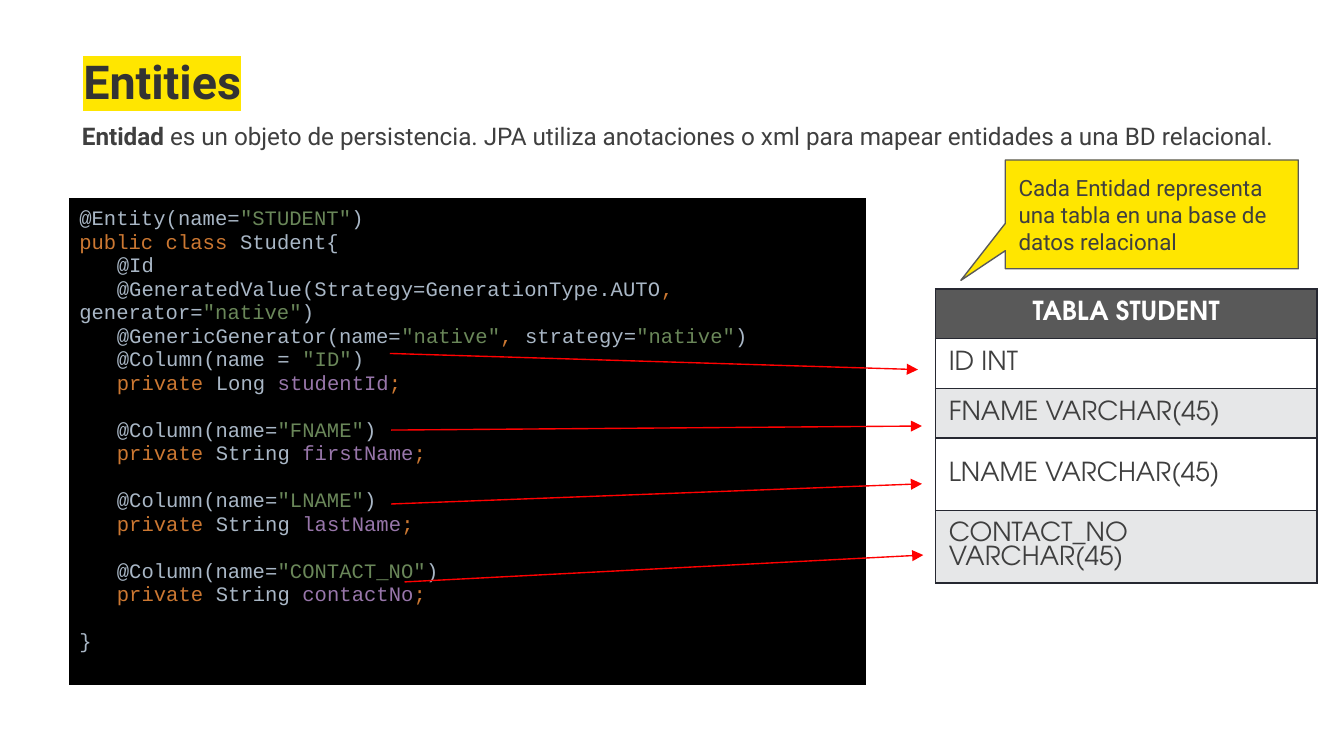
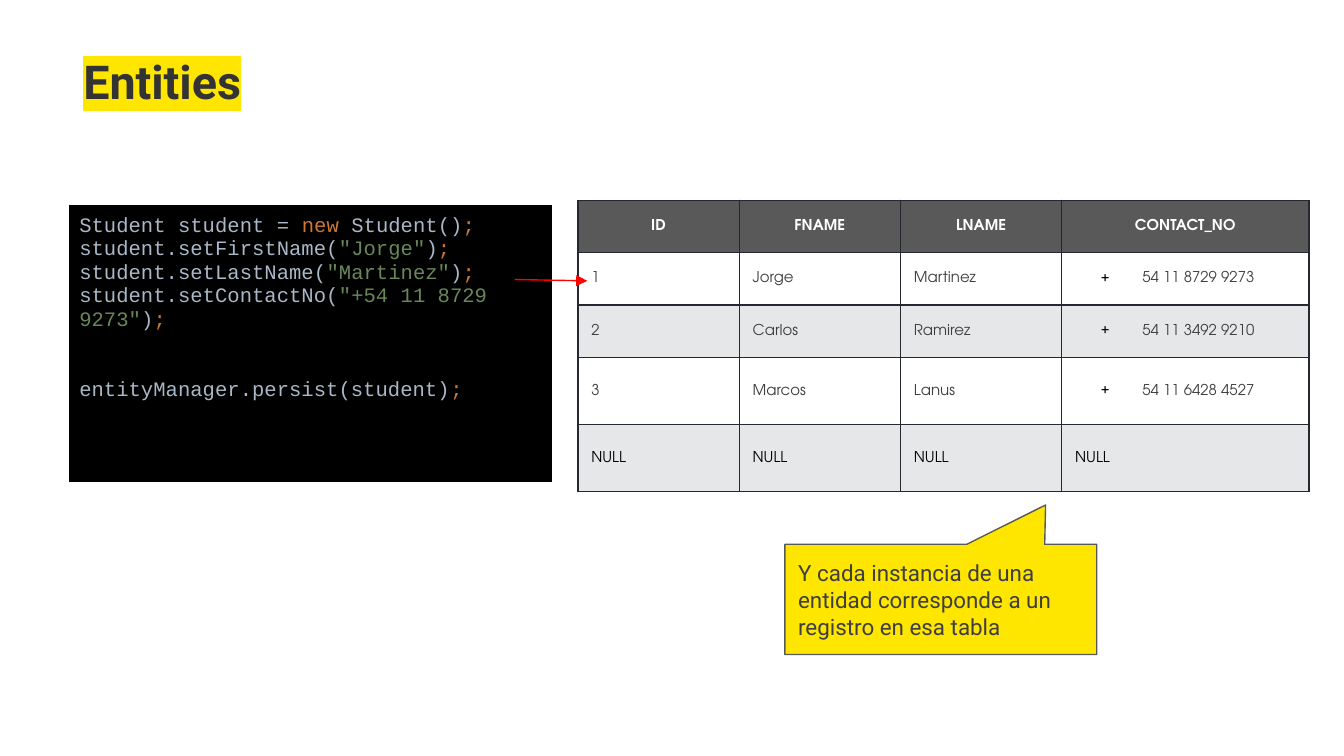
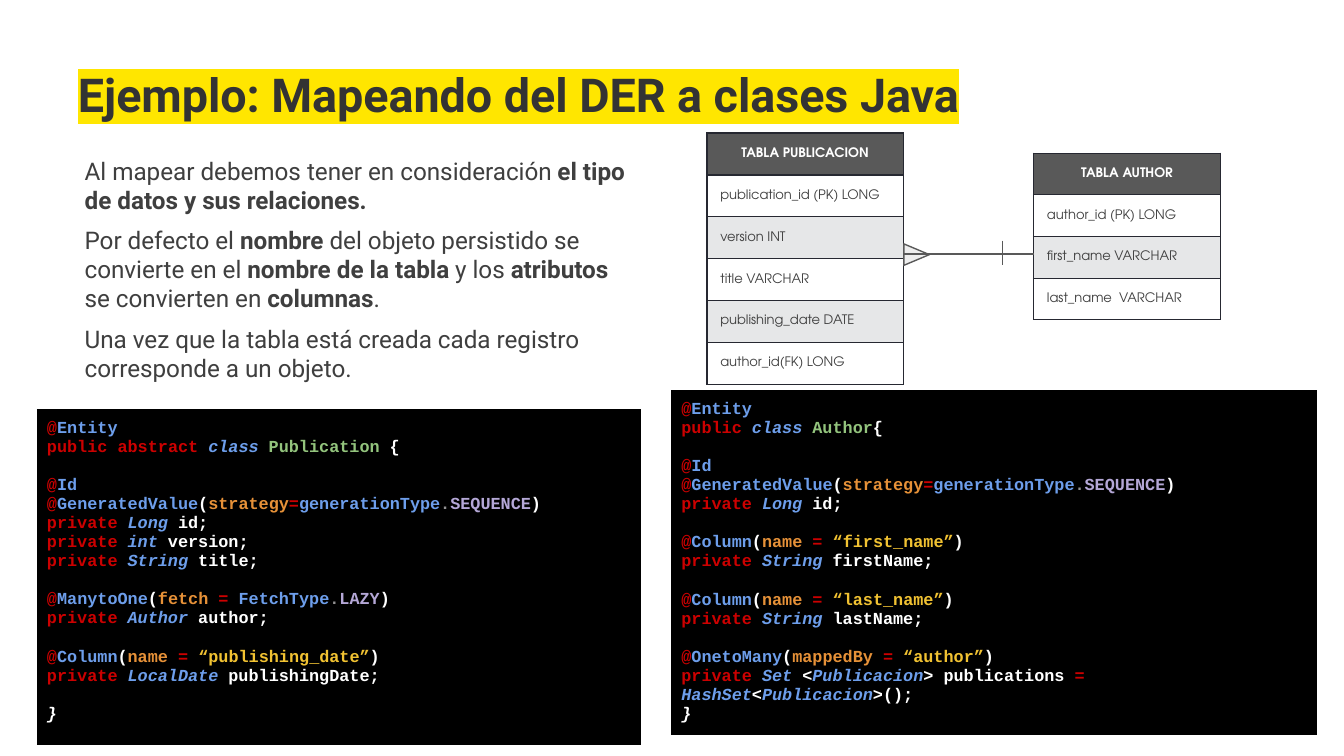
from lxml import etree
from pptx import Presentation
from pptx.dml.color import RGBColor
from pptx.enum.shapes import MSO_CONNECTOR, MSO_SHAPE
from pptx.enum.text import MSO_ANCHOR, MSO_AUTO_SIZE, PP_ALIGN
from pptx.oxml.ns import qn
from pptx.util import Inches, Pt

STRAIGHT = MSO_CONNECTOR.STRAIGHT
CALLOUT = MSO_SHAPE.ROUNDED_RECTANGULAR_CALLOUT
TRIANGLE = MSO_SHAPE.ISOSCELES_TRIANGLE
TOP, MIDDLE = MSO_ANCHOR.TOP, MSO_ANCHOR.MIDDLE
LEFT, CENTER = PP_ALIGN.LEFT, PP_ALIGN.CENTER
TITLE_AND_CONTENT, TITLE_ONLY = 1, 5

COLORS = {
    "title": "333333", "text": "3F3F3F", "yellow": "FFE600", "grey": "595959",
    "band": "E6E7E8", "white": "FFFFFF", "black": "000000", "border": "262831",
    "arrow": "FF0000", "crow_foot": "EEEEEE",
}
TEXT_FONT, CODE_FONT, TABLE_FONT = "Roboto", "Courier New", "TeX Gyre Adventor"

# Syntax styles: the letter after § opens a run in this (colour, italic)
SYNTAX = {
    # dark editor theme
    "p": ("A9B7C6", False), "k": ("CC7832", False),
    "s": ("6A8759", False), "f": ("9876AA", False),
    # bright editor theme
    "r": ("CC0000", False), "b": ("6D9EEB", False), "t": ("6D9EEB", True),
    "g": ("93C47D", False), "w": ("FFFFFF", False), "e": ("FFFFFF", True),
    "o": ("E69138", False), "d": ("939293", False), "v": ("B4A7D6", False),
    "y": ("F1C232", False),
}


def entity_column(name, java_type, field_name):
    """Lines of one annotated field; a tab marks the code indent."""
    return ["", f'\t§p@Column(name=§s"{name}"§p)',
            f"\t§kprivate §p{java_type} §f{field_name}§k;"]


def setter(name, value):
    return f'§pstudent.{name}(§s"{value}"§p)§k;'


def field(java_type, name):
    return f"§rprivate §t{java_type} §w{name};"


def column(name):
    return f"§r@§bColumn§w(§oname §r=§y “{name}”§w)"


GENERATED_ID = [
    "", "§r@§bId",
    "§r@§bGeneratedValue§w(§ostrategy§r=§bgenerationType§d.§vSEQUENCE§w)",
    field("Long", "id"),
]
STUDENT_CLASS = [
    '§p@Entity(name=§s"STUDENT"§p)',
    "§kpublic class §pStudent{",
    "\t§p@Id",
    '\t§p@GeneratedValue(Strategy=GenerationType.AUTO§k, §pgenerator=§s"native"§p)',
    '\t§p@GenericGenerator(name=§s"native"§k, §pstrategy=§s"native"§p)',
    '\t§p@Column(name = §s"ID"§p)',
    "\t§kprivate §pLong §fstudentId§k;",
    *entity_column("FNAME", "String", "firstName"),
    *entity_column("LNAME", "String", "lastName"),
    *entity_column("CONTACT_NO", "String", "contactNo"),
    "", "§p}",
]
STUDENT_USE = [
    "§pStudent student = §knew §pStudent()§k;",
    setter("setFirstName", "Jorge"),
    setter("setLastName", "Martinez"),
    setter("setContactNo", "+54 11 8729 9273"),
    "", "", "§pentityManager.persist(student)§k;",
]
PUBLICATION_CLASS = [
    "§r@§bEntity",
    "§rpublic abstract §tclass §gPublication §w{",
    *GENERATED_ID,
    field("int", "version"),
    field("String", "title"),
    "", "§r@§bManytoOne§w(§ofetch §r= §bFetchType§d.§vLAZY§w)",
    field("Author", "author"),
    "", column("publishing_date"),
    field("LocalDate", "publishingDate"),
    "", "§e}",
]
AUTHOR_CLASS = [
    "§r@§bEntity",
    "§rpublic §tclass §gAuthor§w{",
    *GENERATED_ID,
    "", column("first_name"),
    field("String", "firstName"),
    "", column("last_name"),
    field("String", "lastName"),
    "", "§r@§bOnetoMany§w(§omappedBy §r= §y“author”§w)",
    "§rprivate §tSet §w<§tPublicacion§w> publications §r= "
    "§tHashSet§w<§tPublicacion§w>();",
    "§e}",
]


# Shared helpers
def rgb(name):
    return RGBColor.from_string(COLORS[name])


def add_xml(parent, tag, **attributes):
    return etree.SubElement(parent, qn(tag), attributes)


def set_font(font, name, size, color=None, bold=False):
    font.name, font.size, font.bold = name, Pt(size), bold
    if color:
        font.color.rgb = rgb(color)


def set_insets(target, horizontal, vertical):
    target.margin_left = target.margin_right = Inches(horizontal)
    target.margin_top = target.margin_bottom = Inches(vertical)


def set_indent(paragraph, left, first):
    properties = paragraph._p.get_or_add_pPr()
    properties.set("marL", str(Inches(left)))
    properties.set("indent", str(Inches(first)))
    return properties


def place(shape, box):
    shape.left, shape.top, shape.width, shape.height = map(Inches, box)


def set_borders(frame, color, width):
    for properties in frame.element.iter(qn("a:tcPr")):
        for index, side in enumerate(("a:lnL", "a:lnR", "a:lnT", "a:lnB")):
            border = add_xml(properties, side, w=str(Pt(width)))
            add_xml(add_xml(border, "a:solidFill"), "a:srgbClr", val=COLORS[color])
            properties.insert(index, border)


def add_table(slide, left, top, width, row_heights):
    frame = slide.shapes.add_table(len(row_heights), 1, Inches(left), Inches(top),
                                   Inches(width), Inches(sum(row_heights)))
    table = frame.table
    table.first_row = table.horz_banding = False
    for row, height in zip(table.rows, row_heights):
        row.height = Inches(height)
    return frame


# Parts of a slide
def add_title(slide, text, box):
    title = slide.shapes.title
    place(title, box)
    text_frame = title.text_frame
    text_frame.auto_size = MSO_AUTO_SIZE.NONE
    text_frame.vertical_anchor = TOP
    set_insets(text_frame, 0.1, 0.1)
    paragraph = text_frame.paragraphs[0]
    paragraph.alignment = LEFT
    run = paragraph.add_run()
    run.text = text
    set_font(run.font, TEXT_FONT, 25, "title", True)
    highlight = etree.Element(qn("a:highlight"))
    add_xml(highlight, "a:srgbClr", val=COLORS["yellow"])
    run.font._element.find(qn("a:solidFill")).addnext(highlight)


def add_body(slide, paragraphs, box, inset):
    """Fill the body placeholder; ** switches bold on and off."""
    body = slide.placeholders[1]
    place(body, box)
    text_frame = body.text_frame
    text_frame.auto_size = MSO_AUTO_SIZE.NONE
    text_frame.vertical_anchor = TOP
    set_insets(text_frame, 0.1, inset)
    for index, text in enumerate(paragraphs):
        paragraph = text_frame.paragraphs[0] if index == 0 else text_frame.add_paragraph()
        paragraph.space_before = Pt(6 if index else 0)
        add_xml(set_indent(paragraph, 0, 0), "a:buNone")
        set_font(paragraph.font, TEXT_FONT, 13, "text")
        for part, words in enumerate(text.split("**")):
            if words:
                run = paragraph.add_run()
                run.text = words
                run.font.bold = part % 2 == 1


def add_code(slide, lines, box, size, bold=False):
    left, top, width, height = box
    frame = add_table(slide, left, top, width, [height])
    cell = frame.table.cell(0, 0)
    cell.fill.solid()
    cell.fill.fore_color.rgb = rgb("black")
    set_insets(cell, 0.07, 0.07)
    paragraph, gap = cell.text_frame.paragraphs[0], 0
    for index, line in enumerate(lines):
        if not line:
            gap += size * 1.14
            continue
        if index:
            paragraph = cell.text_frame.add_paragraph()
        if line.startswith("\t"):
            set_indent(paragraph, 0, 0.28)
        paragraph.space_before = Pt(gap)
        gap = 0
        set_font(paragraph.font, CODE_FONT, size, bold=bold)
        for token in line.strip("\t").split("§")[1:]:
            color, italic = SYNTAX[token[0]]
            run = paragraph.add_run()
            run.text = token[1:]
            run.font.color.rgb = RGBColor.from_string(color)
            run.font.italic = italic
    set_borders(frame, "black", 1)


def add_data_table(slide, values, left, top, width, row_heights, size):
    """One column: a dark heading over banded rows."""
    frame = add_table(slide, left, top, width, row_heights)
    for index, value in enumerate(values):
        heading = index == 0
        cell = frame.table.cell(index, 0)
        cell.vertical_anchor = MIDDLE
        set_insets(cell, 0.1, 0.06)
        cell.fill.solid()
        fill = "grey" if heading else "white" if index % 2 else "band"
        cell.fill.fore_color.rgb = rgb(fill)
        paragraph = cell.text_frame.paragraphs[0]
        paragraph.alignment = CENTER if heading else LEFT
        paragraph.space_before = Pt(6)
        paragraph.line_spacing = Pt(round(size * 0.92, 1))
        if value.startswith("+"):
            properties = set_indent(paragraph, 0.5, -0.31)
            add_xml(add_xml(properties, "a:buClr"), "a:srgbClr", val=COLORS["black"])
            add_xml(properties, "a:buChar", char="+")
        color = "white" if heading else "black" if value == "NULL" else "text"
        set_font(paragraph.font, TABLE_FONT, size, color, heading)
        paragraph.add_run().text = value.lstrip("+")
    set_borders(frame, "border", 0.75)


def style_outline(shape, fill):
    shape.shadow.inherit = False
    shape.fill.solid()
    shape.fill.fore_color.rgb = rgb(fill)
    shape.line.color.rgb = rgb("grey")
    shape.line.width = Pt(0.75)


def add_callout(slide, text, box, tip):
    callout = slide.shapes.add_shape(CALLOUT, *map(Inches, box))
    for index, value in enumerate((*tip, 0)):
        callout.adjustments[index] = value
    style_outline(callout, "yellow")
    text_frame = callout.text_frame
    text_frame.word_wrap = True
    text_frame.vertical_anchor = MIDDLE
    set_insets(text_frame, 0.1, 0.1)
    paragraph = text_frame.paragraphs[0]
    paragraph.alignment = LEFT
    set_font(paragraph.font, TEXT_FONT, 12, "text")
    paragraph.add_run().text = text


def add_line(slide, start, end, color, arrow=False):
    line = slide.shapes.add_connector(STRAIGHT, *map(Inches, (*start, *end)))
    line.line.color.rgb = rgb(color)
    line.line.width = Pt(0.75)
    properties = line.element.spPr
    if arrow:
        add_xml(properties.find(qn("a:ln")), "a:tailEnd", type="triangle")
    add_xml(properties, "a:effectLst")


def add_relation(slide, left, right, middle):
    """Many-to-one line: crow's foot at the left, bar at the right."""
    foot = slide.shapes.add_shape(TRIANGLE, Inches(left + 0.02), Inches(middle - 0.09),
                                  Inches(0.16), Inches(0.19))
    foot.rotation = 90
    style_outline(foot, "crow_foot")
    add_line(slide, (left, middle), (right, middle), "grey")
    bar = right - 0.23
    add_line(slide, (bar, middle - 0.1), (bar, middle + 0.08), "grey")


# Slides
def new_slide(presentation, layout, title, title_box):
    slide = presentation.slides.add_slide(presentation.slide_layouts[layout])
    add_title(slide, title, title_box)
    return slide


def build_entity_slide(presentation):
    slide = new_slide(presentation, TITLE_AND_CONTENT, "Entities", (0.52, 0.29, 2.63, 0.59))
    add_body(slide, ["**Entidad **es un objeto de persistencia. JPA utiliza anotaciones "
                     "o xml para mapear entidades a una BD relacional."],
             (0.51, 0.85, 9.15, 0.42), 0.05)
    add_callout(slide, "Cada Entidad representa una tabla en una base de datos relacional",
                (7.48, 1.19, 2.18, 0.81), (-0.652, 0.607))
    add_code(slide, STUDENT_CLASS, (0.52, 1.48, 5.92, 3.61), 11)
    add_data_table(slide, ["TABLA STUDENT", "ID INT", "FNAME VARCHAR(45)",
                           "LNAME VARCHAR(45)", "CONTACT_NO VARCHAR(45)"],
                   6.96, 2.15, 2.84, [0.37] * 3 + [0.54] * 2, 14)
    # Arrows from each annotation to its table row
    for start, end in [((2.9, 2.63), (6.83, 2.75)), ((2.91, 3.2), (6.86, 3.17)),
                       ((2.91, 3.75), (6.86, 3.6)), ((3.01, 4.33), (6.87, 4.13))]:
        add_line(slide, start, end, "arrow", arrow=True)


def build_instance_slide(presentation):
    slide = new_slide(presentation, TITLE_ONLY, "Entities", (0.52, 0.29, 2.63, 0.59))
    add_callout(slide, "Y cada instancia de una entidad corresponde a un registro en esa tabla",
                (5.84, 4.05, 2.32, 0.82), (0.336, -0.857))
    add_code(slide, STUDENT_USE, (0.52, 1.53, 3.58, 2.05), 11)
    # Records, one column after another
    left = 4.3
    for width, values in [
        (1.2, ["ID", "1", "2", "3", "NULL"]),
        (1.2, ["FNAME", "Jorge", "Carlos", "Marcos", "NULL"]),
        (1.2, ["LNAME", "Martinez", "Ramirez", "Lanus", "NULL"]),
        (1.84, ["CONTACT_NO", "+54 11 8729 9273", "+54 11 3492 9210",
                "+54 11 6428 4527", "NULL"]),
    ]:
        add_data_table(slide, values, left, 1.49, width, [0.39] * 3 + [0.5] * 2, 8)
        left += width
    add_line(slide, (3.83, 2.08), (4.37, 2.09), "arrow", arrow=True)


def build_mapping_slide(presentation):
    slide = new_slide(presentation, TITLE_AND_CONTENT,
                      "Ejemplo: Mapeando del DER a clases Java", (0.48, 0.39, 7.11, 0.59))
    add_body(slide, [
        "Al mapear debemos tener en consideración **el tipo de datos y sus relaciones.**",
        "Por defecto el **nombre** del objeto persistido se convierte en el "
        "**nombre de la tabla **y los **atributos** se convierten en **columnas**.",
        "Una vez que la tabla está creada cada registro corresponde a un objeto.",
    ], (0.53, 1.06, 4.23, 1.77), 0.1)
    add_code(slide, PUBLICATION_CLASS, (0.28, 3.05, 4.48, 2.49), 9, bold=True)
    add_code(slide, AUTHOR_CLASS, (5, 2.91, 4.79, 2.54), 9, bold=True)
    # Entity-relationship diagram
    for left, top, width, height, values in [
        (5.26, 0.99, 1.46, 1.87,
         ["TABLA PUBLICACION", "publication_id (PK) LONG", "version INT",
          "title VARCHAR", "publishing_date DATE", "author_id(FK) LONG"]),
        (7.69, 1.14, 1.39, 1.24,
         ["TABLA AUTHOR", "author_id (PK) LONG", "first_name VARCHAR",
          "last_name  VARCHAR"]),
    ]:
        rows = len(values)
        add_data_table(slide, values, left, top, width, [height / rows] * rows, 7)
    add_relation(slide, 6.72, 7.69, 1.89)


def main():
    presentation = Presentation()
    presentation.slide_width = Inches(10)
    presentation.slide_height = Inches(10 * 9 / 16)
    build_entity_slide(presentation)
    build_instance_slide(presentation)
    build_mapping_slide(presentation)
    presentation.save("out.pptx")


if __name__ == "__main__":
    main()
